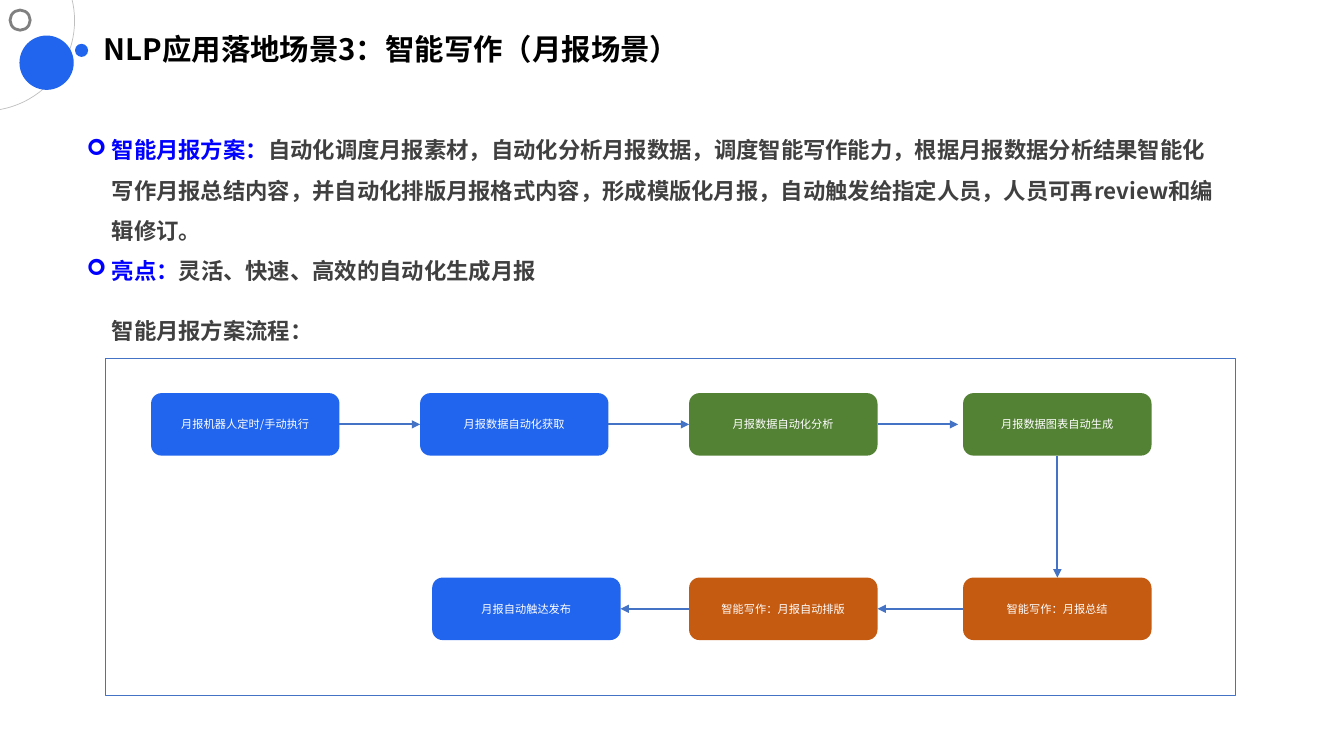
from pptx import Presentation
from pptx.dml.color import RGBColor
from pptx.enum import shapes, text
from pptx.oxml import parse_xml, ns
from pptx.util import Pt

COLORS = {"blue": "2164ED", "green": "548235", "orange": "C55A11", "line": "4472C4",
          "arc": "BFBFBF", "ring": "808080", "black": "000000", "white": "FFFFFF",
          "label": "0000FF", "body": "404040"}
FONT = "Noto Sans CJK SC"
KIND = shapes.MSO_SHAPE
A = ns.nsdecls("a")


def add_figure(kind, bounds, fill=None, line=None, weight=1):
    figure = slide.shapes.add_shape(kind, *map(Pt, bounds))
    figure.shadow.inherit = False
    if fill:
        figure.fill.solid()
        figure.fill.fore_color.rgb = RGBColor.from_string(COLORS[fill])
    else:
        figure.fill.background()
    if line:
        figure.line.color.rgb = RGBColor.from_string(COLORS[line])
        figure.line.width = Pt(weight)
    else:
        figure.line.fill.background()
    return figure


def write(box, paragraphs, size, bold, spacing=1.0, bullet=None, align=text.PP_ALIGN.LEFT,
          anchor=text.MSO_ANCHOR.TOP, margins=(9.36, 5.04)):
    frame = box.text_frame
    side, edge = map(Pt, margins)
    for key, value in {"word_wrap": True, "vertical_anchor": anchor, "margin_left": side,
                       "margin_right": side, "margin_top": edge, "margin_bottom": edge}.items():
        setattr(frame, key, value)
    for index, parts in enumerate(paragraphs):
        paragraph = frame.add_paragraph() if index else frame.paragraphs[0]
        paragraph.alignment = align
        paragraph.line_spacing = spacing
        if bullet:
            properties = paragraph._p.get_or_add_pPr()
            properties.set("marL", str(Pt(18)))
            properties.set("indent", str(-Pt(18)))
            properties.append(parse_xml(f'<a:buFont {A} typeface="Wingdings"/>'))
            properties.append(parse_xml(f'<a:buChar {A} char="{bullet}"/>'))
        for words, color in parts:
            run = paragraph.add_run()
            run.text = words
            for key, value in {"size": Pt(size), "bold": bold, "name": FONT}.items():
                setattr(run.font, key, value)
            run.font.color.rgb = RGBColor.from_string(COLORS[color])
            run.font._element.append(parse_xml(f'<a:ea {A} typeface="{FONT}"/>'))


prs = Presentation()
prs.slide_width, prs.slide_height = Pt(960.48), Pt(540)
slide = prs.slides.add_slide(prs.slide_layouts[5])

corner_arc = add_figure(KIND.ARC, (-75.6, -49.68, 128.88, 128.88), line="arc", weight=0.5)
corner_arc.adjustments[0], corner_arc.adjustments[1] = 207.72, 48.6
add_figure(KIND.OVAL, (14.4, 25.92, 37.8, 37.8), "blue", "blue")
add_figure(KIND.OVAL, (53.64, 31.32, 9.36, 9.36), "blue")
add_figure(KIND.OVAL, (7.2, 7.2, 14.4, 14.4), line="ring", weight=2)

heading = slide.shapes.title
heading.left, heading.top, heading.width, heading.height = map(Pt, (64.8, 20.16, 777.6, 33.12))
write(heading, [[("NLP应用落地场景3：智能写作（月报场景）", "black")]], 21, True, 0.9)

summary = slide.shapes.add_textbox(*map(Pt, (52.56, 82.8, 830.88, 124.56)))
write(summary, [
    [("智能月报方案：", "label"),
     ("自动化调度月报素材，自动化分析月报数据，调度智能写作能力，根据月报数据分析结果智能化写作月报总结内容，"
      "并自动化排版月报格式内容，形成模版化月报，自动触发给指定人员，人员可再review和编辑修订。", "body")],
    [("亮点：", "label"), ("灵活、快速、高效的自动化生成月报", "body")],
], 16, True, 1.5, "➢")

flow_heading = slide.shapes.add_textbox(*map(Pt, (70.56, 211.68, 235.44, 35.28)))
write(flow_heading, [[("智能月报方案流程：", "body")]], 16, True, 1.5)

add_figure(KIND.RECTANGLE, (75.6, 256.32, 807.12, 240.48), line="line", weight=0.5)

TOP_ROW, BOTTOM_ROW = 280.8, 412.56
steps = []
for label, left, top, color in [
    ("月报机器人定时/手动执行", 108, TOP_ROW, "blue"),
    ("月报数据自动化获取", 300.24, TOP_ROW, "blue"),
    ("月报数据自动化分析", 492.48, TOP_ROW, "green"),
    ("月报数据图表自动生成", 688.32, TOP_ROW, "green"),
    ("智能写作：月报总结", 688.32, BOTTOM_ROW, "orange"),
    ("智能写作：月报自动排版", 492.48, BOTTOM_ROW, "orange"),
    ("月报自动触达发布", 308.88, BOTTOM_ROW, "blue"),
]:
    step = add_figure(KIND.ROUNDED_RECTANGLE, (left, top, 134.64, 44.64), color)
    write(step, [[(label, "white")]], 8, False, align=text.PP_ALIGN.CENTER,
          anchor=text.MSO_ANCHOR.MIDDLE, margins=(2.16, 2.16))
    steps.append(step)

SIDES = [(3, 1), (3, 1), (3, None), (2, 0), (1, 3), (1, 3)]
for source, target, (exit_side, entry_side) in zip(steps, steps[1:], SIDES):
    arrow = slide.shapes.add_connector(
        shapes.MSO_CONNECTOR.STRAIGHT, source.left + source.width, source.top + source.height // 2,
        target.left - Pt(3.6), target.top + target.height // 2)
    arrow.begin_connect(source, exit_side)
    if entry_side is not None:
        arrow.end_connect(target, entry_side)
    arrow.line.color.rgb = RGBColor.from_string(COLORS["line"])
    arrow.line.width = Pt(1.5)
    arrow.line._get_or_add_ln().append(parse_xml(f'<a:tailEnd {A} type="triangle"/>'))
    arrow._element.spPr.append(parse_xml(f"<a:effectLst {A}/>"))

prs.save("out.pptx")
